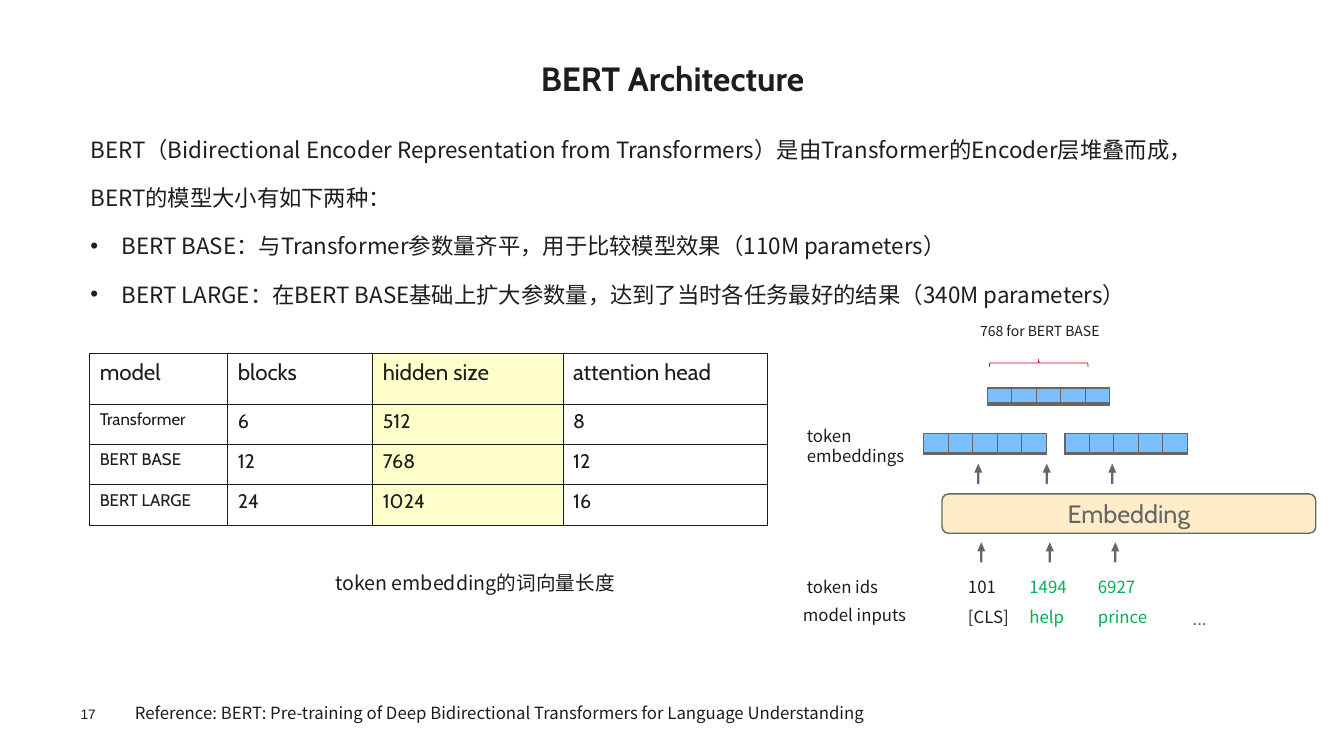
from lxml.etree import SubElement
from pptx import Presentation
from pptx.dml.color import RGBColor
from pptx.enum.shapes import MSO_SHAPE
from pptx.enum.text import MSO_ANCHOR, PP_ALIGN
from pptx.oxml import parse_xml
from pptx.oxml.ns import nsdecls, qn
from pptx.util import Inches, Pt

COLORS = {
    "ink": "1D1D1A",
    "number": "1D1D1B",
    "gray": "666666",
    "green": "00B050",
    "red": "C7000A",
    "blue": "7CBFFE",
    "yellow": "FFFFCC",
    "cream": "FFEDCA",
}
SANS = "Noto Sans CJK SC"
HEADING = "Cabin"

INTRO = [
    "BERT（Bidirectional Encoder Representation from Transformers）是由Transformer的Encoder层堆叠而成，BERT的模型大小有如下两种：",
    "BERT BASE：与Transformer参数量齐平，用于比较模型效果（110M parameters）",
    "BERT LARGE：在BERT BASE基础上扩大参数量，达到了当时各任务最好的结果（340M parameters）",
]
MODELS = [
    ["model", "blocks", "hidden size", "attention head"],
    ["Transformer", "6", "512", "8"],
    ["BERT BASE", "12", "768", "12"],
    ["BERT LARGE", "24", "1024", "16"],
]
TOKENS = [
    (9.51, "101", "[CLS]", "ink"),
    (10.12, "1494", "help", "green"),
    (10.8, "6927", "prince", "green"),
]


def color(name):
    return RGBColor.from_string(COLORS[name])


def format_para(para, size, tint="ink", font=SANS, bold=False):
    for span in para.runs:
        span.font.size = Pt(size)
        span.font.name = font
        span.font.bold = bold
        span.font.color.rgb = color(tint)
        SubElement(span.font._element, qn("a:ea")).set("typeface", font)


def add_text(page, at, lines, size, tint="ink", font=SANS, spacing=None, inset=True):
    box = page.shapes.add_textbox(*map(Inches, at))
    frame = box.text_frame
    frame.word_wrap = True
    if not inset:
        clear_margins(frame)
    frame.text = lines
    for para in frame.paragraphs:
        para.line_spacing = Pt(spacing or size * 1.2)
        format_para(para, size, tint, font)
    return box


def clear_margins(holder):
    holder.margin_left = holder.margin_right = 0
    holder.margin_top = holder.margin_bottom = 0


def add_bullet(para):
    props = para._p.get_or_add_pPr()
    props.set("marL", str(Inches(0.31)))
    props.set("indent", str(-Inches(0.31)))
    SubElement(props, qn("a:buFont")).set("typeface", "Arial")
    SubElement(props, qn("a:buChar")).set("char", "•")


def set_borders(cell, tint, bottom=1):
    props = cell._tc.get_or_add_tcPr()
    widths = {"lnL": 1, "lnR": 1, "lnT": 1, "lnB": bottom}
    for index, (side, width) in enumerate(widths.items()):
        props.insert(index, parse_xml(
            f'<a:{side} {nsdecls("a")} w="{Pt(width)}"><a:solidFill>'
            f'<a:srgbClr val="{COLORS[tint]}"/></a:solidFill></a:{side}>'))


def add_grid(page, left, top, widths, heights):
    frame = page.shapes.add_table(
        len(heights), len(widths), Inches(left), Inches(top),
        Inches(sum(widths)), Inches(sum(heights)))
    table = frame.table
    table.first_row = table.horz_banding = False
    for column, width in zip(table.columns, widths):
        column.width = Inches(width)
    for row, height in zip(table.rows, heights):
        row.height = Inches(height)
    return table


def add_model_table(page):
    table = add_grid(page, 0.89, 3.51, [1.37, 1.44, 1.89, 2.03], [0.5, 0.4, 0.4, 0.4])
    for i, row in enumerate(MODELS):
        for j, value in enumerate(row):
            cell = table.cell(i, j)
            cell.text = value
            size = 16 if i == 0 else 12 if j == 0 else 14
            format_para(cell.text_frame.paragraphs[0], size, font=HEADING)
            if j == 2:
                cell.fill.solid()
                cell.fill.fore_color.rgb = color("yellow")
            else:
                cell.fill.background()
            set_borders(cell, "ink")


def add_vector(page, left, top, height):
    table = add_grid(page, left, top, [0.243] * 5, [height])
    for cell in table.iter_cells():
        clear_margins(cell)
        para = cell.text_frame.paragraphs[0]
        SubElement(para._p, qn("a:endParaRPr")).set("sz", "200")
        cell.fill.solid()
        cell.fill.fore_color.rgb = color("blue")
        set_borders(cell, "gray", bottom=3)


def add_figure(page, kind, at, fill=None, line=None, width=1):
    shape = page.shapes.add_shape(kind, *map(Inches, at))
    shape.shadow.inherit = False
    if fill:
        shape.fill.solid()
        shape.fill.fore_color.rgb = color(fill)
    else:
        shape.fill.background()
    if line:
        shape.line.color.rgb = color(line)
        shape.line.width = Pt(width)
    else:
        shape.line.fill.background()
    return shape


def add_arrows(page, left, top):
    for offset in (0, 0.68, 1.33):
        arrow = add_figure(page, MSO_SHAPE.UP_ARROW, (left + offset, top, 0.08, 0.2), "gray")
        arrow.adjustments[0] = 0.277
        arrow.adjustments[1] = 1.126


def add_title(page):
    title = page.shapes.title
    title.left, title.top, title.width, title.height = map(Inches, (0.8, 0.5, 11.75, 0.44))
    frame = title.text_frame
    frame.text = "BERT Architecture"
    frame.vertical_anchor = MSO_ANCHOR.TOP
    clear_margins(frame)
    para = frame.paragraphs[0]
    para.alignment = PP_ALIGN.CENTER
    para.line_spacing = Pt(34.3)
    format_para(para, 24, font=HEADING, bold=True)


def add_embedding_diagram(page):
    layer = add_figure(page, MSO_SHAPE.ROUNDED_RECTANGLE, (9.35, 4.9, 3.71, 0.39), "cream", "gray")
    layer.text_frame.text = "Embedding"
    layer.text_frame.vertical_anchor = MSO_ANCHOR.MIDDLE
    para = layer.text_frame.paragraphs[0]
    para.alignment = PP_ALIGN.CENTER
    format_para(para, 18, "gray", HEADING)

    for left, token_id, word, tint in TOKENS:
        add_text(page, (left, 5.67, 0.73, 0.2), token_id, 12, tint)
        add_text(page, (left, 5.97, 0.73, 0.2), word, 12, tint)
    add_text(page, (11.74, 5.99, 1.1, 0.2), "...", 12, "gray")
    add_text(page, (7.87, 5.95, 1.29, 0.2), "model inputs", 12)
    add_text(page, (7.91, 5.67, 1.29, 0.2), "token ids", 12)
    add_text(page, (7.91, 4.17, 1.29, 0.52), "token embeddings", 12)

    add_arrows(page, 9.7, 5.38)
    add_arrows(page, 9.67, 4.6)
    for left, top, height in ((9.17, 4.3, 0.2), (10.57, 4.3, 0.2), (9.8, 3.85, 0.16)):
        add_vector(page, left, top, height)
    brace = add_figure(page, MSO_SHAPE.RIGHT_BRACE, (10.27, 3.11, 0.08, 0.98), line="red", width=0.5)
    brace.rotation = 270
    add_text(page, (9.63, 3.15, 1.48, 0.27), "768 for BERT BASE", 10)


def main():
    deck = Presentation()
    deck.slide_width, deck.slide_height = Inches(13.34), Inches(7.5)
    page = deck.slides.add_slide(deck.slide_layouts.get_by_name("Title Only"))
    add_title(page)
    intro = add_text(page, (0.8, 1.09, 11.57, 2.03), "\n".join(INTRO), 16, spacing=34.4)
    for para in intro.text_frame.paragraphs[1:]:
        add_bullet(para)
    add_model_table(page)
    add_text(page, (3.23, 5.37, 3.03, 0.58), "token embedding的词向量长度", 14, spacing=34.4)
    add_embedding_diagram(page)
    add_text(page, (0.8, 7, 0.55, 0.16), "17", 9.8, "number", "Arial", inset=False)
    add_text(page, (1.24, 6.92, 8.27, 0.32),
             "Reference: BERT: Pre-training of Deep Bidirectional Transformers for Language Understanding", 12)
    deck.save("out.pptx")


if __name__ == "__main__":
    main()
